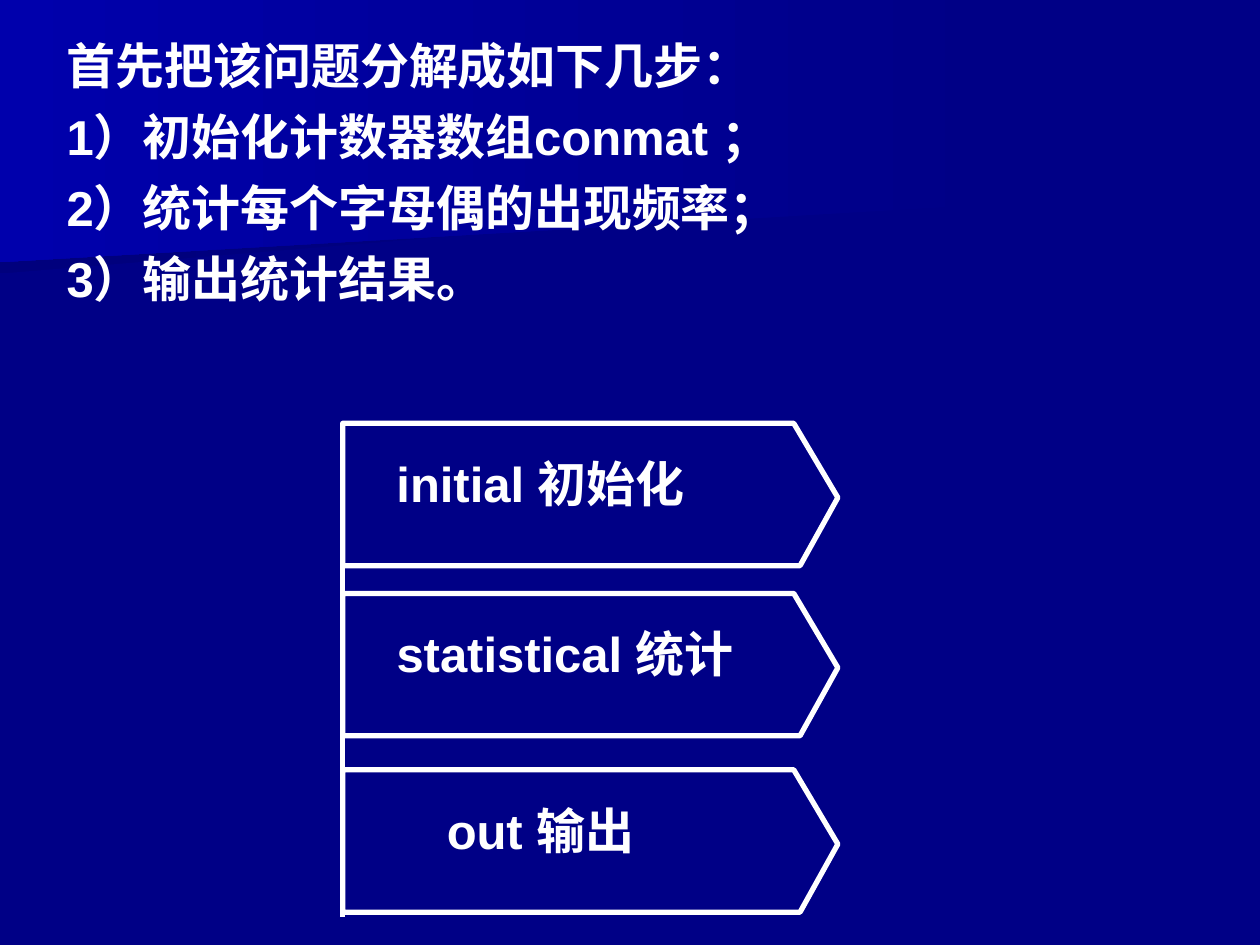
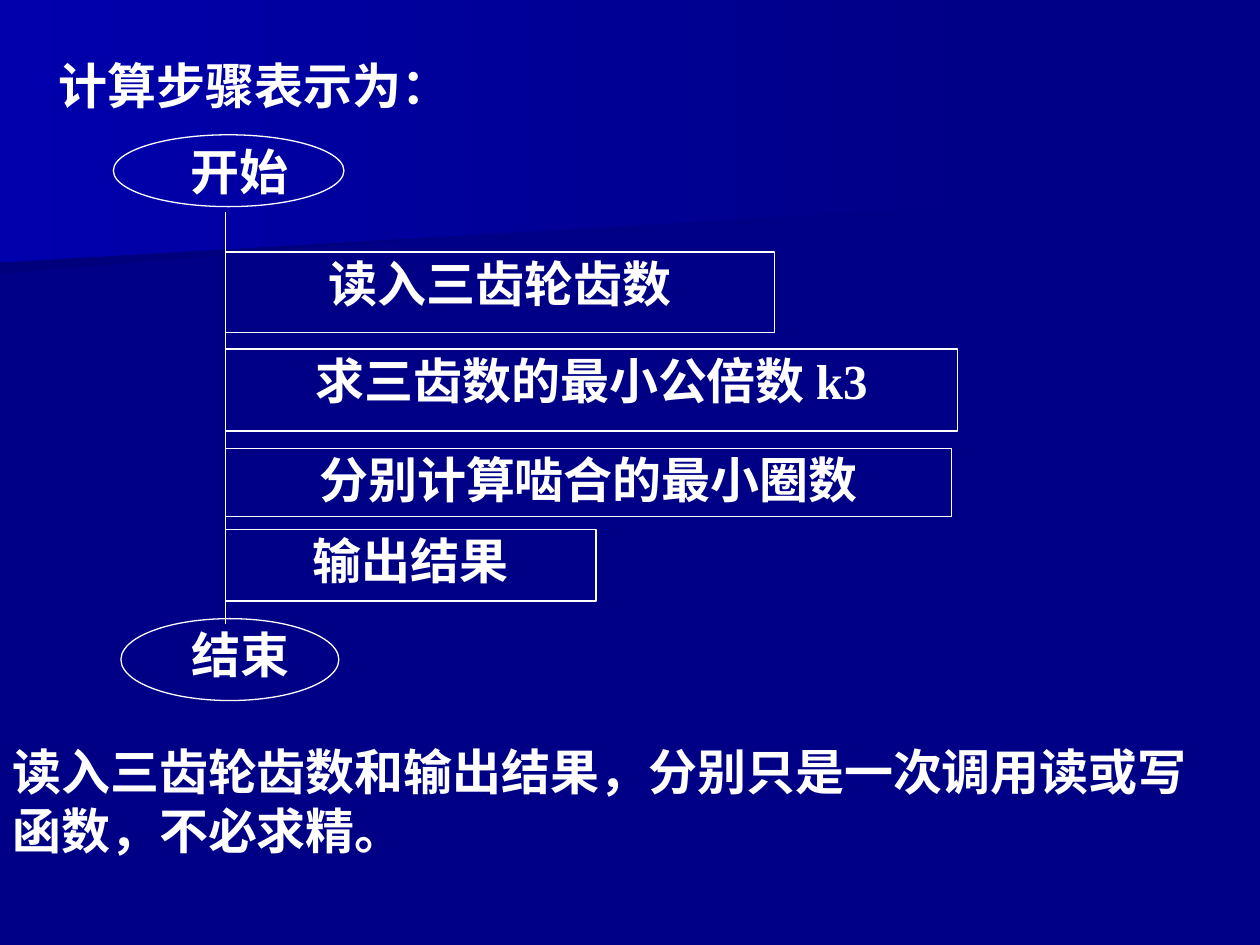
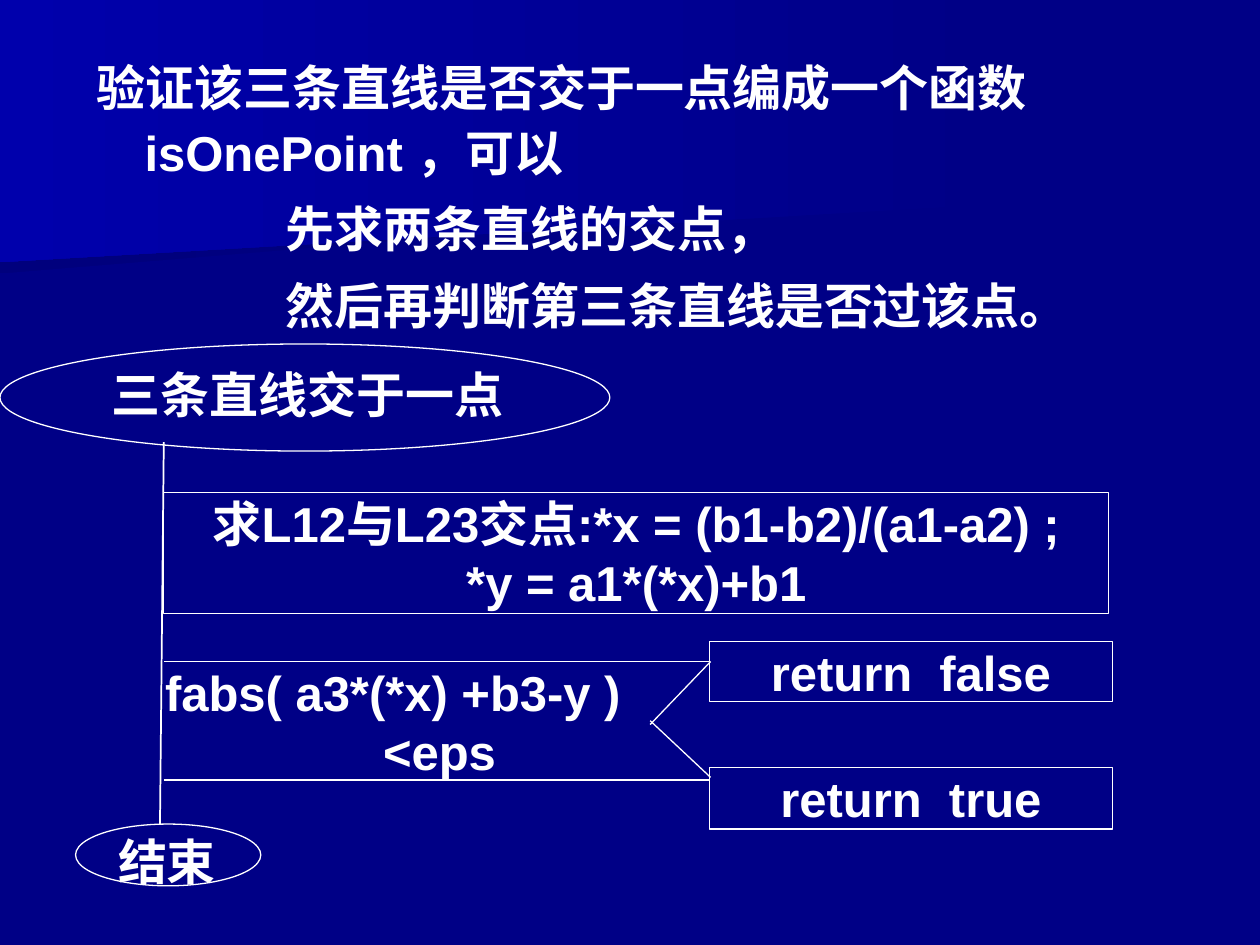
from pptx import Presentation
from pptx.dml.color import RGBColor
from pptx.enum.shapes import MSO_CONNECTOR as CONNECTOR, MSO_SHAPE as SHAPE
from pptx.enum.text import MSO_ANCHOR as ANCHOR, PP_ALIGN as ALIGN
from pptx.oxml.ns import qn
from pptx.util import Inches, Pt
from lxml import etree

WHITE = "FFFFFF"
NAVY = "000086"
SHADE = "00007D"
GLOW = "0000AC"
SANS = "Arial"
SERIF = "Times New Roman"
TEXT_SIZE = 28
TIGHT = (0.01, 0.01)
ROOMY = (0.1, 0.05)
SPACED = {"space_before": Pt(3.5), "space_after": Pt(3.5)}


def rgb(value):
    return RGBColor.from_string(value)


def set_values(target, values):
    for name, value in values.items():
        setattr(target, name, value)


def add_outline(slide, points):
    """Draw a closed outline through points given in inches."""
    corners = [(Inches(x), Inches(y)) for x, y in points]
    builder = slide.shapes.build_freeform(*corners[0])
    builder.add_line_segments(corners[1:], close=True)
    shape = builder.convert_to_shape()
    shape.shadow.inherit = False
    return shape


def style_outline(shape, width):
    shape.fill.background()
    shape.line.color.rgb = rgb(WHITE)
    shape.line.width = Pt(width)


def set_indent(paragraph, left, first_line):
    properties = paragraph._p.get_or_add_pPr()
    properties.set("marL", str(Inches(left)))
    properties.set("indent", str(Inches(first_line)))


def write_text(shape, lines, font=SANS, align=ALIGN.CENTER, insets=TIGHT,
               anchor=ANCHOR.TOP, wrap=True, formats=None):
    frame = shape.text_frame
    across, down = map(Inches, insets)
    set_values(frame, {
        "word_wrap": wrap, "vertical_anchor": anchor,
        "margin_left": across, "margin_right": across,
        "margin_top": down, "margin_bottom": down,
    })
    for index, line in enumerate(lines):
        paragraph = frame.add_paragraph() if index else frame.paragraphs[0]
        paragraph.text = line
        set_values(paragraph, {"alignment": align, **(formats or {})})
        if index == 0:
            paragraph.space_before = Pt(0)
        set_values(paragraph.font, {"name": font, "size": Pt(TEXT_SIZE), "bold": True})
        paragraph.font.color.rgb = rgb(WHITE)
    return frame.paragraphs


def add_text(slide, box, lines, **options):
    shape = slide.shapes.add_textbox(*map(Inches, box))
    return write_text(shape, lines, **options)


def add_body(slide, box, lines, **options):
    return add_text(slide, box, lines, align=ALIGN.LEFT, insets=ROOMY, **options)


def add_shape(slide, kind, box):
    shape = slide.shapes.add_shape(kind, *map(Inches, box))
    shape.shadow.inherit = False
    style_outline(shape, 0.75)
    return shape


def add_step(slide, box, lines, font=SANS):
    write_text(add_shape(slide, SHAPE.RECTANGLE, box), lines, font=font)


def add_terminal(slide, oval, caption_box, caption, font=SANS):
    """Draw an oval that starts or ends a flow, with its caption."""
    add_text(slide, caption_box, [caption], font=font)
    add_shape(slide, SHAPE.OVAL, oval)


def add_line(slide, start, end, width=0.75):
    line = slide.shapes.add_connector(CONNECTOR.STRAIGHT, *map(Inches, start + end))
    line.line.color.rgb = rgb(WHITE)
    line.line.width = Pt(width)
    etree.SubElement(line._element.spPr, qn("a:effectLst"))


def add_flag(slide, top, caption, caption_left, caption_width):
    left, right = 2.72, 6.65
    flag = add_outline(slide, [
        (left, top), (6.3, top), (right, top + 0.59),
        (6.35, top + 1.13), (left, top + 1.13),
    ])
    style_outline(flag, 3)
    add_text(slide, (caption_left, top + 0.23, caption_width, 0.63), [caption])


def decorate_master(master, slide):
    """Give the master its background and two bands, drawn first on a slide."""
    background = master.background.fill
    background.solid()
    background.fore_color.rgb = rgb(NAVY)
    bands = [
        ([(7.78, 1.53), (0, 2.17), (0, 1.01), (7.79, 1.01), (7.78, 1.28)], SHADE),
        ([(7.92, 1.62), (0, 2.08), (0, 0), (7.92, 0)], GLOW),
    ]
    for position, (points, color) in enumerate(bands, start=2):
        band = add_outline(slide, points)
        band.line.fill.background()
        band.fill.gradient()
        band.fill.gradient_angle = 180
        for stop, stop_color in zip(band.fill.gradient_stops, (NAVY, color)):
            stop.color.rgb = rgb(stop_color)
        master.shapes.element.insert(position, band._element)


def build_letter_pairs(slide):
    add_body(slide, (0.43, 0.23, 8.82, 2.82), [
        "首先把该问题分解成如下几步：",
        "1）初始化计数器数组conmat ；",
        "2）统计每个字母偶的出现频率；",
        "3）输出统计结果。",
    ], formats=SPACED)
    add_line(slide, (2.72, 3.36), (2.72, 7.28), width=3)
    add_flag(slide, 3.36, "initial 初始化", 2.95, 2.68)
    add_flag(slide, 4.71, "statistical 统计", 3.03, 2.91)
    add_flag(slide, 6.11, "out 输出", 2.95, 2.68)


def build_gears(slide):
    add_body(slide, (0.37, 0.39, 3.3, 0.57), ["计算步骤表示为："],
             font="Roboto", wrap=False)
    spine = 1.79
    add_terminal(slide, (0.9, 1.07, 1.83, 0.57), (0.9, 1.11, 2, 0.54), "开始", SERIF)
    add_line(slide, (spine, 1.68), (spine, 4.95), width=1)
    steps = [
        (2, 4.36, 0.64, "读入三齿轮齿数"),
        (2.77, 5.81, 0.65, "求三齿数的最小公倍数 k3"),
        (3.56, 5.76, 0.54, "分别计算啮合的最小圈数"),
        (4.2, 2.94, 0.57, "输出结果"),
    ]
    for top, width, height, caption in steps:
        add_step(slide, (spine, top, width, height), [caption], SERIF)
    add_terminal(slide, (0.96, 4.91, 1.73, 0.65), (0.96, 4.95, 1.9, 0.61), "结束", SERIF)
    add_body(slide, (0, 5.83, 9.57, 1.04),
             ["读入三齿轮齿数和输出结果，分别只是一次调用读或写函数，不必求精。"],
             anchor=ANCHOR.MIDDLE)


def build_lines_meet(slide):
    intro = add_body(slide, (0.67, 0.36, 8.5, 2.35), [
        "验证该三条直线是否交于一点编成一个函数isOnePoint ，可以",
        "先求两条直线的交点，",
        "然后再判断第三条直线是否过该点。",
    ], formats={**SPACED, "line_spacing": 1.1})
    for paragraph, level, left in zip(intro, (0, 3, 3), (0.38, 1.88, 1.88)):
        paragraph.level = level
        set_indent(paragraph, left, -0.38)

    spine, fork = 1.3, 5.63
    add_terminal(slide, (0, 2.73, 4.84, 0.85), (0.59, 2.88, 3.7, 0.47), "三条直线交于一点")
    add_line(slide, (spine, 3.51), (1.27, 6.54), width=1)
    add_terminal(slide, (0.6, 6.54, 1.47, 0.49), (0.52, 6.59, 1.61, 0.47), "结束")
    add_step(slide, (spine, 3.91, 7.5, 0.96),
             ["求L12与L23交点:*x = (b1-b2)/(a1-a2) ;", "*y = a1*(*x)+b1"])
    add_step(slide, (fork, 5.09, 3.2, 0.48), ["return  false"])
    add_step(slide, (fork, 6.09, 3.2, 0.49), ["return  true"])

    condition = add_text(slide, (spine, 5.25, 3.95, 0.95),
                         ["fabs( a3*(*x) +b3-y )", "<eps"], align=ALIGN.JUSTIFY)
    set_indent(condition[1], 1.73, 0)
    for edge in (5.25, 6.19):
        add_line(slide, (spine, edge), (fork, edge))
    add_line(slide, (5.64, 5.25), (5.16, 5.75))
    add_line(slide, (5.64, 6.17), (5.16, 5.72))


def main():
    presentation = Presentation()
    presentation.slide_width = Inches(10)
    presentation.slide_height = Inches(7.5)
    blank = presentation.slide_layouts[6]
    builders = (build_letter_pairs, build_gears, build_lines_meet)
    slides = [presentation.slides.add_slide(blank) for _ in builders]
    decorate_master(presentation.slide_master, slides[0])
    for build, slide in zip(builders, slides):
        build(slide)
    presentation.save("out.pptx")


if __name__ == "__main__":
    main()
